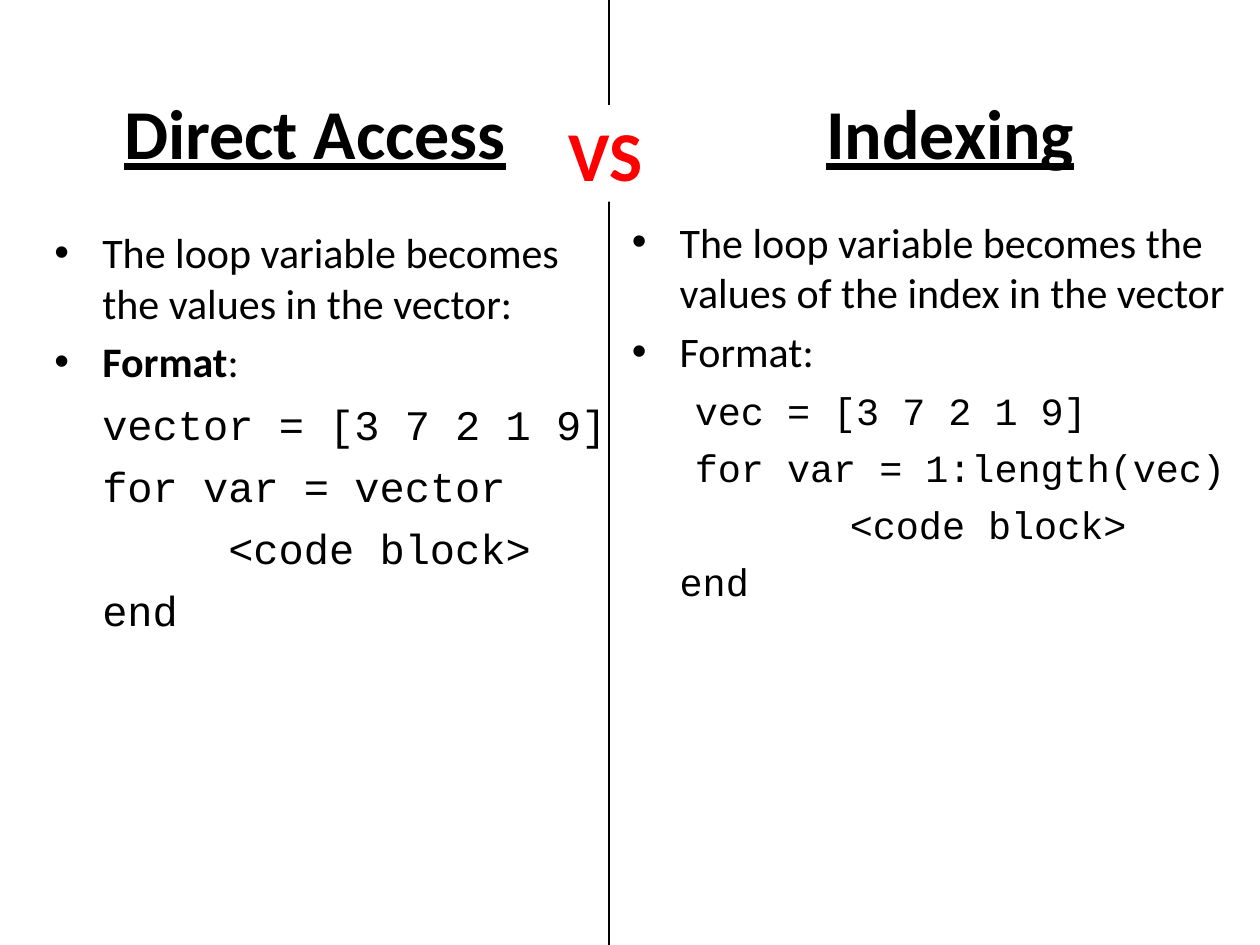
from lxml import etree
from pptx import Presentation
from pptx.dml.color import RGBColor
from pptx.enum.shapes import MSO_CONNECTOR, MSO_SHAPE
from pptx.enum.text import MSO_ANCHOR, PP_ALIGN
from pptx.oxml.ns import qn
from pptx.util import Inches, Pt

CENTER, LEFT = PP_ALIGN.CENTER, PP_ALIGN.LEFT
MIDDLE, TOP = MSO_ANCHOR.MIDDLE, MSO_ANCHOR.TOP
RECTANGLE, STRAIGHT = MSO_SHAPE.RECTANGLE, MSO_CONNECTOR.STRAIGHT

BLACK = RGBColor(0x00, 0x00, 0x00)
WHITE = RGBColor(0xFF, 0xFF, 0xFF)
RED = RGBColor(0xFF, 0x00, 0x00)
TEXT_FONT, CODE_FONT = "Calibri", "Courier New"
HEADING_SIZE, BULLET_SIZE = 40, 24

# The grid has 120 columns and 90 rows
COLUMNS, ROWS = 120, 90
WIDTH, HEIGHT = Inches(10), Inches(7.5)
DIVIDER = 58
HANG = 0.38

# Bullets are lists of (text, bold); code lines are (text, indent in inches)
DIRECT_BULLETS = [
    [("The loop variable becomes the values in the vector:", False)],
    [("Format", True), (":", False)],
]
DIRECT_CODE = [
    ("vector = [3 7 2 1 9]", HANG),
    ("for var = vector", HANG),
    ("<code block>", 1.38),
    ("end", HANG),
]
INDEX_BULLETS = [
    [("The loop variable becomes the values of the index in the vector", False)],
    [("Format:", False)],
]
INDEX_CODE = [
    ("vec = [3 7 2 1 9]", 0.5),
    ("for var = 1:length(vec)", 0.5),
    ("<code block>", 1.73),
    ("end", HANG),
]


def grid(left, top, width, height):
    """Turn grid columns and rows into slide lengths."""
    return (int(WIDTH * left / COLUMNS), int(HEIGHT * top / ROWS),
            int(WIDTH * width / COLUMNS), int(HEIGHT * height / ROWS))


def set_font(para, size, name=TEXT_FONT, color=BLACK):
    para.font.size = Pt(size)
    para.font.name = name
    para.font.color.rgb = color


def set_indent(para, margin, first_line, bullet=None):
    properties = para._p.get_or_add_pPr()
    properties.set("marL", str(Inches(margin)))
    properties.set("indent", str(Inches(first_line)))
    if bullet:
        etree.SubElement(properties, qn("a:buFont")).set("typeface", "Arial")
        etree.SubElement(properties, qn("a:buChar")).set("char", bullet)


def fill_heading(box, text, place):
    box.left, box.top, box.width, box.height = place
    frame = box.text_frame
    frame.word_wrap = True
    frame.vertical_anchor = MIDDLE
    para = frame.paragraphs[0]
    para.text = text
    para.alignment = CENTER
    set_font(para, HEADING_SIZE)
    para.font.bold = para.font.underline = True


def add_body(page, place, bullets, code, code_size):
    frame = page.shapes.add_textbox(*place).text_frame
    frame.word_wrap = True
    paras = [frame.paragraphs[0]]
    paras += [frame.add_paragraph() for _ in (bullets + code)[1:]]

    # Bulleted explanation
    for para, spans in zip(paras, bullets):
        para.space_before = Pt(0.2 * BULLET_SIZE)
        set_indent(para, HANG, -HANG, "•")
        set_font(para, BULLET_SIZE)
        for text, bold in spans:
            span = para.add_run()
            span.text = text
            span.font.bold = bold

    # Code sample
    for para, (text, indent) in zip(paras[len(bullets):], code):
        para.text = text
        para.space_before = Pt(round(0.28 * code_size, 1))
        set_indent(para, indent, 0)
        set_font(para, code_size, CODE_FONT)


def add_divider(page, column):
    left, top, _, height = grid(column, 0, 0, ROWS)
    line = page.shapes.add_connector(STRAIGHT, left, top, left, top + height)
    line.line.color.rgb = BLACK
    line.line.width = Pt(0.75)
    etree.SubElement(line._element.spPr, qn("a:effectLst"))


def add_versus(page, place):
    box = page.shapes.add_shape(RECTANGLE, *place)
    box.shadow.inherit = False
    box.fill.solid()
    box.fill.fore_color.rgb = WHITE
    box.line.fill.background()
    box.text_frame.vertical_anchor = TOP
    para = box.text_frame.paragraphs[0]
    para.text = "VS"
    para.alignment = LEFT
    set_font(para, HEADING_SIZE, color=RED)
    para.font.bold = True


def main():
    deck = Presentation()
    deck.slide_width, deck.slide_height = WIDTH, HEIGHT
    page = deck.slides.add_slide(deck.slide_layouts[5])

    # Left side: direct access
    fill_heading(page.shapes.title, "Direct Access", grid(4, 5, 52, 15))
    add_body(page, grid(4, 21, 56, 59.4), DIRECT_BULLETS, DIRECT_CODE, 24)

    # Right side: indexing
    add_body(page, grid(59, 20, 61, 59.4), INDEX_BULLETS, INDEX_CODE, 22)
    place = grid(70, 5, 41, 15)
    fill_heading(page.shapes.add_textbox(*place), "Indexing", place)

    # Middle: divider with the versus label over it
    add_divider(page, DIVIDER)
    add_versus(page, grid(53, 10, 16, 9.2))
    deck.save("out.pptx")


if __name__ == "__main__":
    main()
